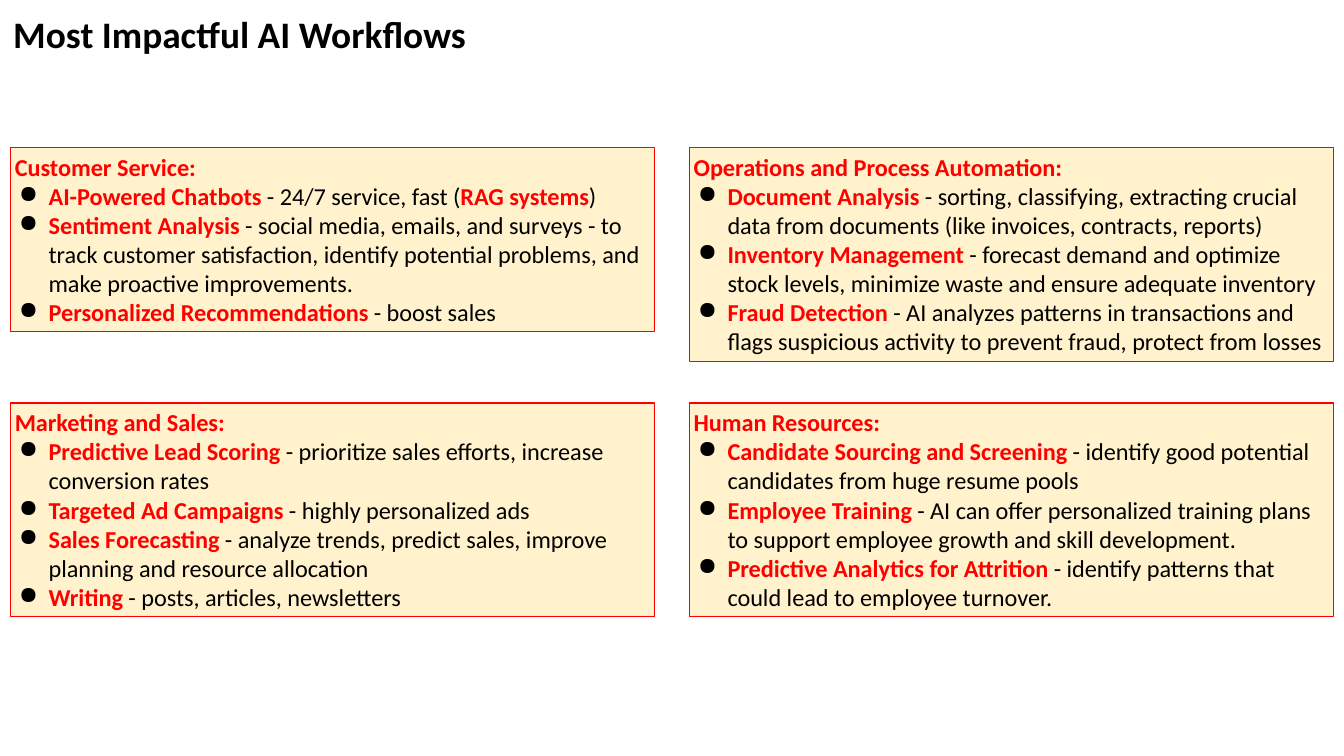
from dataclasses import dataclass

from lxml.etree import SubElement
from pptx import Presentation
from pptx.dml.color import RGBColor
from pptx.enum.shapes import MSO_SHAPE
from pptx.enum.text import MSO_ANCHOR, MSO_AUTO_SIZE, PP_ALIGN
from pptx.oxml.ns import qn
from pptx.util import Cm, Pt


@dataclass(frozen=True)
class Theme:
    font: str = "Calibri"
    ink: str = "000000"
    accent: str = "FF0000"
    panel: str = "FFF2CC"
    title_size: float = 20
    body_size: float = 13
    line_width: float = 0.75


# Text between asterisks is highlighted.
CUSTOMER_SERVICE = ("Customer Service:", [
    "*AI-Powered Chatbots* - 24/7 service, fast (*RAG systems*)",
    "*Sentiment Analysis* - social media, emails, and surveys - to track customer "
    "satisfaction, identify potential problems, and make proactive improvements.",
    "*Personalized Recommendations* - boost sales",
])
HUMAN_RESOURCES = ("Human Resources:", [
    "*Candidate Sourcing and Screening* - identify good potential candidates "
    "from huge resume pools",
    "*Employee Training* - AI can offer personalized training plans to support "
    "employee growth and skill development.",
    "*Predictive Analytics for Attrition* - identify patterns that could lead to "
    "employee turnover.",
])
MARKETING = ("Marketing and Sales:", [
    "*Predictive Lead Scoring* - prioritize sales efforts, increase conversion rates",
    "*Targeted Ad Campaigns* - highly personalized ads",
    "*Sales Forecasting* - analyze trends, predict sales, improve planning and "
    "resource allocation",
    "*Writing* - posts, articles, newsletters",
])
OPERATIONS = ("Operations and Process Automation:", [
    "*Document Analysis* - sorting, classifying, extracting crucial data from "
    "documents (like invoices, contracts, reports)",
    "*Inventory Management* - forecast demand and optimize stock levels, minimize "
    "waste and ensure adequate inventory",
    "*Fraud Detection* - AI analyzes patterns in transactions and flags suspicious "
    "activity to prevent fraud, protect from losses",
])


def add_text(paragraph, text, *, font, size, color, bold=False):
    run = paragraph.add_run()
    run.text = text
    run.font.name = font
    run.font.size = Pt(size)
    run.font.bold = bold
    run.font.color.rgb = RGBColor.from_string(color)


def add_bullet(paragraph, color):
    properties = paragraph._p.get_or_add_pPr()
    properties.set("marL", str(Cm(0.64)))
    properties.set("indent", str(-Cm(0.56)))
    bullet_color = SubElement(properties, qn("a:buClr"))
    SubElement(bullet_color, qn("a:srgbClr")).set("val", color)
    SubElement(properties, qn("a:buChar")).set("char", "●")


def prepare_frame(frame, inset):
    frame.word_wrap = True
    frame.auto_size = MSO_AUTO_SIZE.SHAPE_TO_FIT_TEXT
    frame.vertical_anchor = MSO_ANCHOR.TOP
    frame.margin_left = frame.margin_right = Cm(inset)
    frame.margin_top = frame.margin_bottom = Cm(inset)


class SlideBuilder:
    def __init__(self, slide, theme):
        self.slide = slide
        self.theme = theme

    def title(self, text, left, top, width, height):
        heading = self.slide.shapes.title
        heading.left, heading.top = Cm(left), Cm(top)
        heading.width, heading.height = Cm(width), Cm(height)
        prepare_frame(heading.text_frame, 0.25)
        paragraph = heading.text_frame.paragraphs[0]
        paragraph.alignment = PP_ALIGN.LEFT
        add_text(paragraph, text, font=self.theme.font, size=self.theme.title_size,
                 color=self.theme.ink, bold=True)

    def panel(self, heading, workflows, left, top, width, height):
        theme = self.theme
        box = self.slide.shapes.add_shape(
            MSO_SHAPE.RECTANGLE, Cm(left), Cm(top), Cm(width), Cm(height))
        box.shadow.inherit = False
        box.fill.solid()
        box.fill.fore_color.rgb = RGBColor.from_string(theme.panel)
        box.line.color.rgb = RGBColor.from_string(theme.accent)
        box.line.width = Pt(theme.line_width)
        frame = box.text_frame
        prepare_frame(frame, 0.08)
        self.marked_text(frame.paragraphs[0], f"*{heading}*")
        for workflow in workflows:
            paragraph = frame.add_paragraph()
            add_bullet(paragraph, theme.ink)
            self.marked_text(paragraph, workflow)

    def marked_text(self, paragraph, text):
        """Write text, with the parts between asterisks bold and in the accent colour."""
        theme = self.theme
        paragraph.alignment = PP_ALIGN.LEFT
        for index, part in enumerate(text.split("*")):
            if part:
                marked = index % 2 == 1
                add_text(paragraph, part, font=theme.font, size=theme.body_size,
                         color=theme.accent if marked else theme.ink, bold=marked)


def main():
    presentation = Presentation()
    presentation.slide_width, presentation.slide_height = Cm(25.4), Cm(14.29)
    title_only = presentation.slide_layouts[5]
    builder = SlideBuilder(presentation.slides.add_slide(title_only), Theme())
    builder.title("Most Impactful AI Workflows", 0, -0.03, 12.37, 1.37)

    left_column, right_column = 0.2, 13.03
    upper_row, lower_row = 2.79, 7.62
    panel_width, short, tall = 12.17, 3.48, 4.04
    for (heading, workflows), left, top, height in [
        (CUSTOMER_SERVICE, left_column, upper_row, short),
        (HUMAN_RESOURCES, right_column, lower_row, tall),
        (MARKETING, left_column, lower_row, tall),
        (OPERATIONS, right_column, upper_row, tall),
    ]:
        builder.panel(heading, workflows, left, top, panel_width, height)

    presentation.save("out.pptx")


if __name__ == "__main__":
    main()
